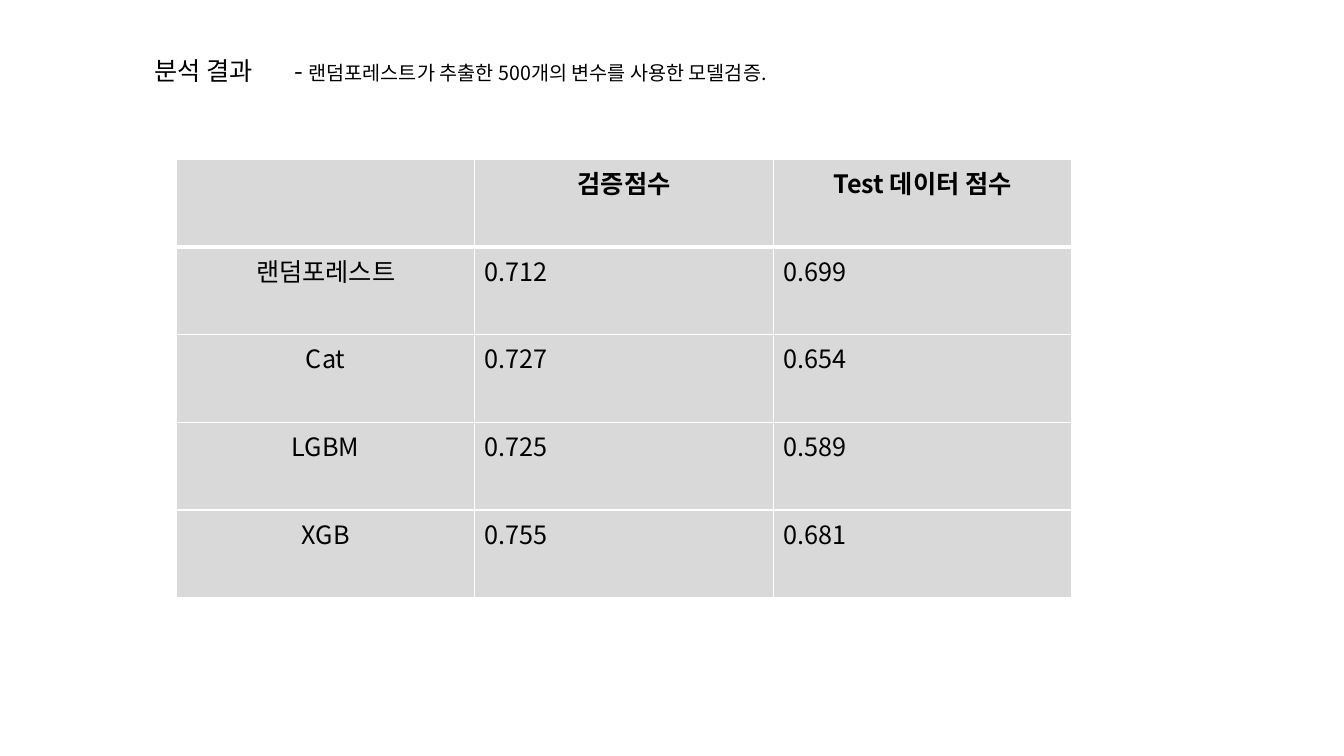
from lxml import etree
from pptx import Presentation
from pptx.dml.color import RGBColor
from pptx.enum.text import MSO_AUTO_SIZE, PP_ALIGN
from pptx.oxml.ns import qn
from pptx.util import Inches, Pt

FONT = "Noto Sans CJK KR"
BLACK = RGBColor(0x00, 0x00, 0x00)
WHITE = RGBColor(0xFF, 0xFF, 0xFF)
GREY = RGBColor(0xD9, 0xD9, 0xD9)

# left, width, [(text, size)]
HEADINGS = [
    (1.43, 5.23, [("분석 결과", 18)]),
    (2.82, 5.78, [("- ", 18), ("랜덤포레스트가 추출한 500개의 변수를 사용한 모델검증.", 14)]),
]
SCORES = [
    ("", "검증점수", "Test 데이터 점수"),
    ("랜덤포레스트", "0.712", "0.699"),
    ("Cat", "0.727", "0.654"),
    ("LGBM", "0.725", "0.589"),
    ("XGB", "0.755", "0.681"),
]
HEADING_TOP, HEADING_HEIGHT = 0.5, 0.4
TABLE_LEFT, TABLE_TOP = 1.75, 1.58
COLUMN_WIDTH, ROW_HEIGHT = 2.96, 0.87


def add_run(paragraph, text, size, bold=False):
    """Append a black run in the slide's Latin and East Asian font."""
    run = paragraph.add_run()
    run.text = text
    font = run.font
    font.name, font.size, font.bold = FONT, Pt(size), bold
    font.color.rgb = BLACK
    etree.SubElement(run._r.get_or_add_rPr(), qn("a:ea"), typeface=FONT)


def add_heading(slide, left, width, runs):
    """Add one text box on the heading line."""
    box = slide.shapes.add_textbox(Inches(left), Inches(HEADING_TOP),
                                   Inches(width), Inches(HEADING_HEIGHT))
    frame = box.text_frame
    frame.word_wrap = True
    frame.auto_size = MSO_AUTO_SIZE.SHAPE_TO_FIT_TEXT
    for text, size in runs:
        add_run(frame.paragraphs[0], text, size)


def set_borders(cell, row):
    """Draw white cell borders, thicker between header and body."""
    widths = {"L": 1, "R": 1, "T": 3 if row == 1 else 1, "B": 3 if row == 0 else 1}
    for side, width in widths.items():
        line = etree.SubElement(cell._tc.get_or_add_tcPr(), qn(f"a:ln{side}"),
                                w=str(Pt(width)))
        fill = etree.SubElement(line, qn("a:solidFill"))
        etree.SubElement(fill, qn("a:srgbClr"), val=str(WHITE))


def add_score_table(slide):
    """Add the table of model scores."""
    rows, columns = len(SCORES), len(SCORES[0])
    table = slide.shapes.add_table(
        rows, columns, Inches(TABLE_LEFT), Inches(TABLE_TOP),
        Inches(COLUMN_WIDTH * columns), Inches(ROW_HEIGHT * rows)).table
    for r, values in enumerate(SCORES):
        for c, value in enumerate(values):
            cell = table.cell(r, c)
            set_borders(cell, r)
            cell.fill.solid()
            cell.fill.fore_color.rgb = GREY
            paragraph = cell.text_frame.paragraphs[0]
            paragraph.alignment = PP_ALIGN.CENTER if r == 0 or c == 0 else PP_ALIGN.LEFT
            if value:
                add_run(paragraph, value, 18, bold=r == 0)


prs = Presentation()
prs.slide_width, prs.slide_height = Inches(13.33), Inches(7.5)
slide = prs.slides.add_slide(prs.slide_layouts[6])
for heading in HEADINGS:
    add_heading(slide, *heading)
add_score_table(slide)
prs.save("out.pptx")
